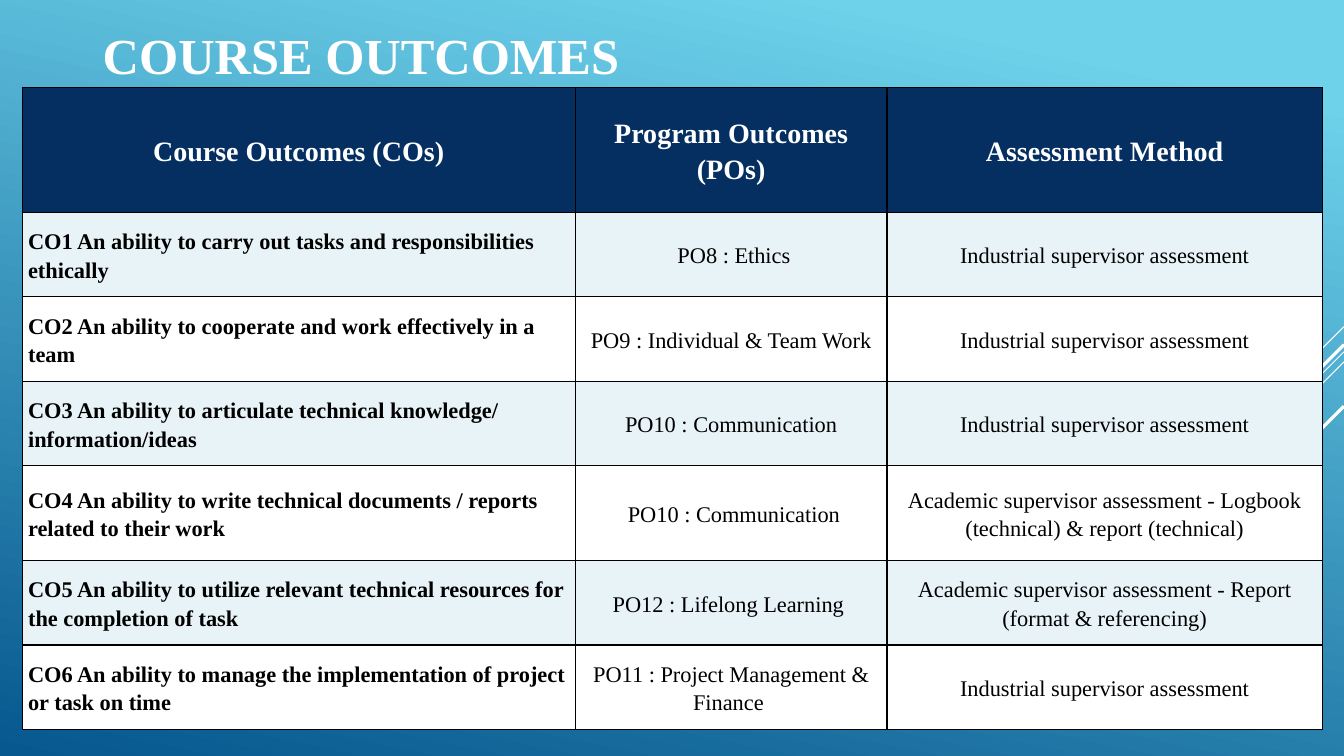
from lxml import etree
from pptx import Presentation
from pptx.dml.color import RGBColor
from pptx.enum.shapes import MSO_CONNECTOR
from pptx.enum.text import MSO_ANCHOR, MSO_AUTO_SIZE, PP_ALIGN
from pptx.oxml import parse_xml
from pptx.oxml.ns import qn
from pptx.util import Pt

LEFT, CENTER = PP_ALIGN.LEFT, PP_ALIGN.CENTER
MIDDLE = MSO_ANCHOR.MIDDLE
NO_FIT = MSO_AUTO_SIZE.NONE
STRAIGHT = MSO_CONNECTOR.STRAIGHT

FONT = "Times New Roman"
WIDE, HIGH = 960, 540
NAVY, PALE, WHITE, BLACK = "052F61", "E8F3F7", "FFFFFF", "000000"
NS = "http://schemas.openxmlformats.org/drawingml/2006/main"

HEADS = ["Course Outcomes (COs)", "Program Outcomes (POs)", "Assessment Method"]
BOSS = "Industrial supervisor assessment"
ROWS = [
    ["CO1 An ability to carry out tasks and responsibilities ethically",
     " PO8 : Ethics", BOSS],
    ["CO2 An ability to cooperate and work effectively in a team",
     "PO9 : Individual & Team Work", BOSS],
    ["CO3 An ability to articulate technical knowledge/ information/ideas",
     "PO10 : Communication", BOSS],
    ["CO4 An ability to write technical documents / reports related to their work",
     " PO10 : Communication",
     "Academic supervisor assessment - Logbook (technical) & report (technical)"],
    ["CO5 An ability to utilize relevant technical resources for the completion of task",
     "PO12 : Lifelong Learning ",
     "Academic supervisor assessment - Report (format & referencing)"],
    ["CO6 An ability to manage the implementation of project or task on time",
     "PO11 : Project Management & Finance ", BOSS],
]
COLS = [395.2, 222.6, 311]
TALL = [89.3, 60.3, 60.3, 60.3, 67.9, 60.3, 60.3]
# Start height, run and weight of each diagonal
RAYS = [(233.3, 72, 0.75), (251.3, 234.7, 0.75), (258.5, 149, 0.75),
        (246.2, 137.5, 2.25), (290.2, 100, 2.25)]


def color(code):
    return RGBColor.from_string(code)


def write(frame, text, size=16, ink=BLACK, bold=False, align=LEFT, lead=1.15):
    para = frame.paragraphs[0]
    para.alignment = align
    para.line_spacing = lead
    run = para.add_run()
    run.text = text
    font = run.font
    font.name, font.size, font.bold = FONT, Pt(size), bold
    font.color.rgb = color(ink)


def border(cell):
    props = cell._tc.get_or_add_tcPr()
    for spot, side in enumerate(("lnL", "lnR", "lnT", "lnB")):
        props.insert(spot, parse_xml(
            f'<a:{side} xmlns:a="{NS}" w="{Pt(1)}"><a:solidFill>'
            f'<a:srgbClr val="{BLACK}"/></a:solidFill></a:{side}>'))


def backdrop(slide):
    fill = slide.background.fill
    fill.gradient()
    fill.gradient_angle = 258
    for stop, place, code in zip(fill.gradient_stops, (0.1, 1), ("6ED2EB", "06588E")):
        stop.position = place
        stop.color.rgb = color(code)


def rays(slide, edge):
    # Diagonals fall at 45 degrees from the right edge
    for top, run, weight in RAYS:
        ray = slide.shapes.add_connector(
            STRAIGHT, Pt(edge), Pt(top), Pt(edge - run), Pt(top + run))
        ray.line.color.rgb = color(WHITE)
        ray.line.width = Pt(weight)
        etree.SubElement(ray._element.spPr, qn("a:effectLst"))


def heading(slide, left, top, wide, high):
    title = slide.shapes.title
    title.left, title.top = Pt(left), Pt(top)
    title.width, title.height = Pt(wide), Pt(high)
    frame = title.text_frame
    frame.auto_size = NO_FIT
    frame.word_wrap = True
    frame.vertical_anchor = MIDDLE
    write(frame, "COURSE OUTCOMES", size=36, ink=WHITE, bold=True, lead=0.9)


def outcomes(slide, left, top):
    grid = slide.shapes.add_table(
        len(TALL), len(COLS), Pt(left), Pt(top), Pt(sum(COLS)), Pt(sum(TALL))).table
    for col, wide in zip(grid.columns, COLS):
        col.width = Pt(wide)
    for row, high in zip(grid.rows, TALL):
        row.height = Pt(high)
    for r, texts in enumerate([HEADS] + ROWS):
        head = r == 0
        back = NAVY if head else PALE if r % 2 else WHITE
        for c, text in enumerate(texts):
            cell = grid.cell(r, c)
            cell.vertical_anchor = MIDDLE
            cell.margin_top = cell.margin_bottom = 0
            cell.margin_left = cell.margin_right = Pt(4.3 if head or c != 1 else 0)
            cell.fill.solid()
            cell.fill.fore_color.rgb = color(back)
            border(cell)
            write(cell.text_frame, text, size=20 if head else 16,
                  ink=WHITE if head else BLACK, bold=head or c == 0,
                  align=CENTER if head or c else LEFT)


def main():
    deck = Presentation()
    deck.slide_width, deck.slide_height = Pt(WIDE), Pt(HIGH)
    slide = deck.slides.add_slide(deck.slide_layouts[5])
    backdrop(slide)
    rays(slide, WIDE)
    heading(slide, 66.2, 10.8, 807, 62)
    outcomes(slide, 15.8, 62.4)
    deck.save("out.pptx")


if __name__ == "__main__":
    main()
